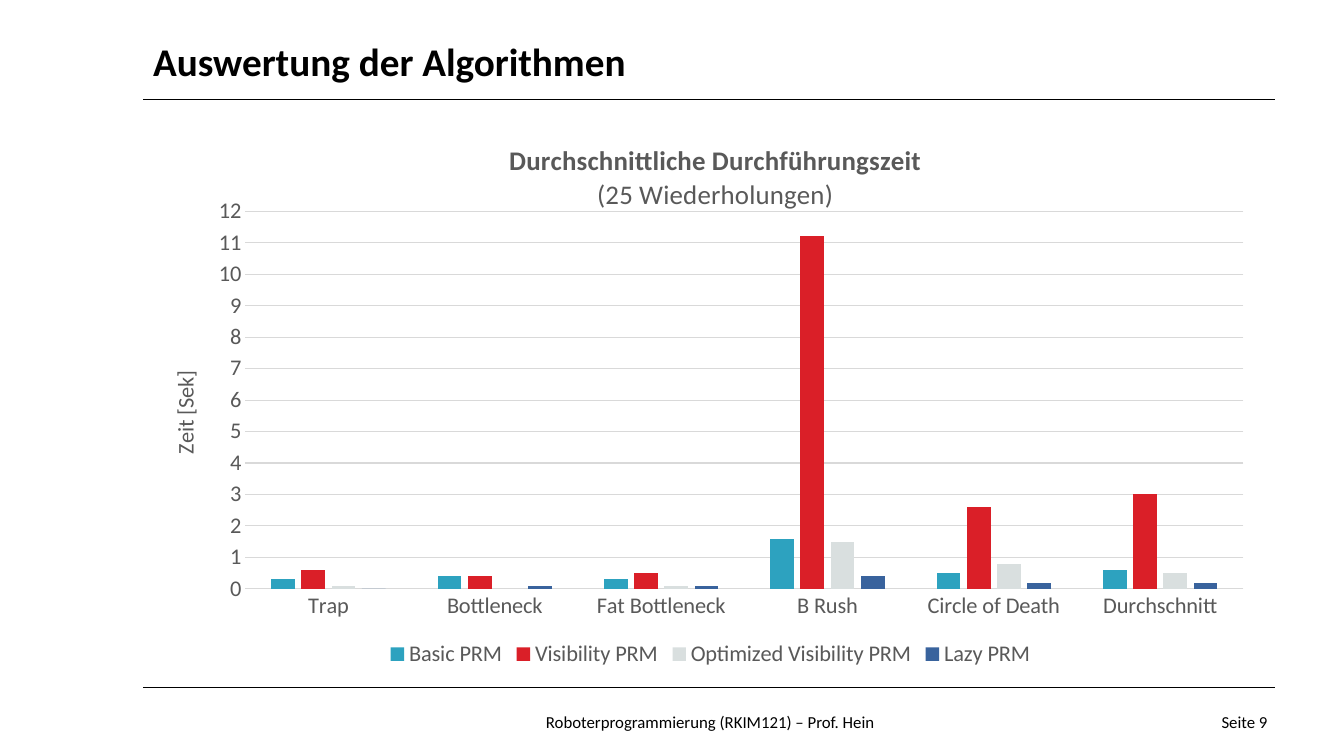
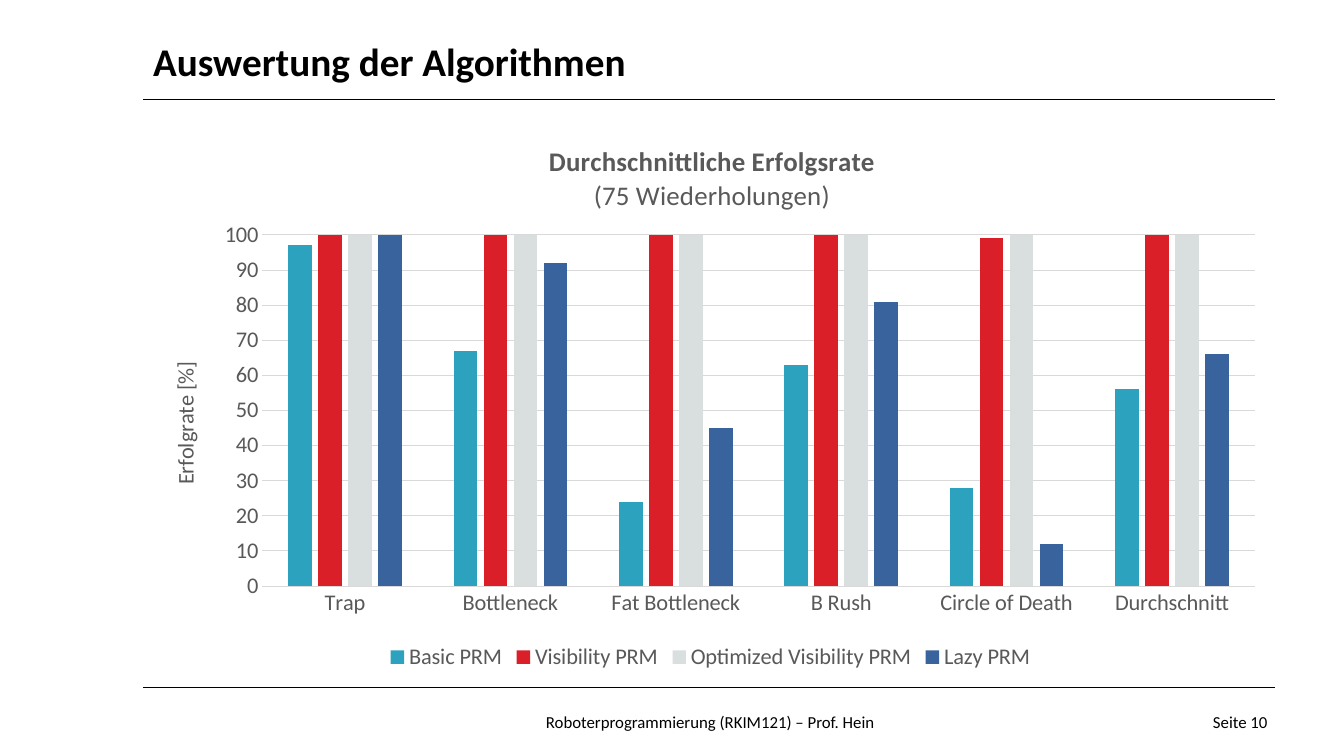
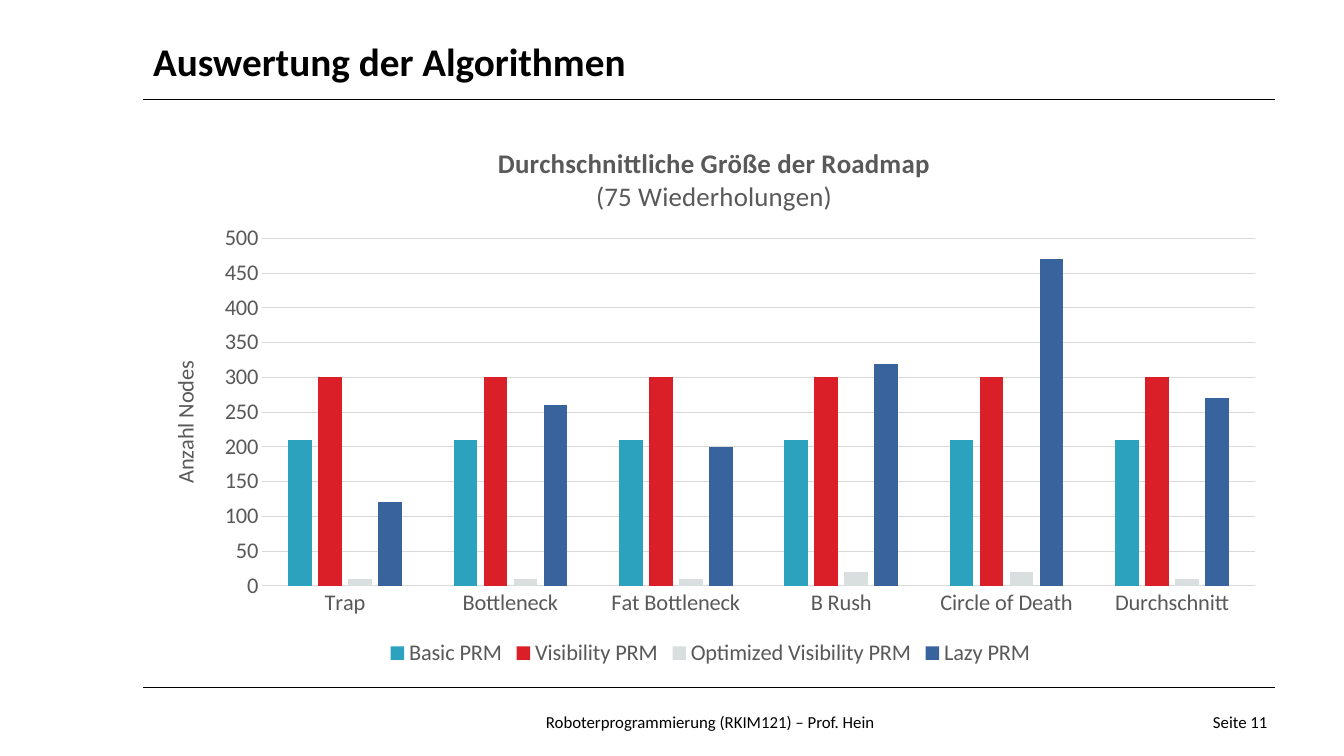
from lxml import etree
from pptx import Presentation
from pptx.chart.data import CategoryChartData
from pptx.dml.color import RGBColor
from pptx.enum.chart import XL_CHART_TYPE, XL_LEGEND_POSITION, XL_TICK_MARK
from pptx.enum.shapes import MSO_CONNECTOR
from pptx.enum.text import MSO_ANCHOR, PP_ALIGN
from pptx.oxml.ns import qn
from pptx.util import Inches, Pt

COLUMN = XL_CHART_TYPE.COLUMN_CLUSTERED
BOTTOM = XL_LEGEND_POSITION.BOTTOM
NONE = XL_TICK_MARK.NONE
STRAIGHT = MSO_CONNECTOR.STRAIGHT
MIDDLE = MSO_ANCHOR.MIDDLE
LEFT, CENTER, RIGHT = PP_ALIGN.LEFT, PP_ALIGN.CENTER, PP_ALIGN.RIGHT

BLACK = RGBColor(0x00, 0x00, 0x00)
GRAY = RGBColor(0x59, 0x59, 0x59)
GRID = RGBColor(0xD9, 0xD9, 0xD9)
TEAL = RGBColor(0x2D, 0xA2, 0xBF)
RED = RGBColor(0xDA, 0x1F, 0x28)
PALE = RGBColor(0xD9, 0xDF, 0xDF)
BLUE = RGBColor(0x39, 0x63, 0x9D)

FONT = "Calibri"
EDGE, WIDTH = 1.42, 11.25
RULES = (0.99, 6.82)
FOOT, FOOT_H = 6.96, 0.4

MAPS = ("Trap", "Bottleneck", "Fat Bottleneck", "B Rush", "Circle of Death",
        "Durchschnitt")
PLANNERS = (("Basic PRM", TEAL), ("Visibility PRM", RED),
            ("Optimized Visibility PRM", PALE), ("Lazy PRM", BLUE))

# Boxes are in inches; spots and plots are shares of the chart's size.
CHARTS = (
    dict(box=(EDGE, 1.16, WIDTH, 5.51), head="Durchschnittliche Durchführungszeit",
         sub="(25 Wiederholungen)", unit="Zeit [Sek]", top=12, step=1,
         plot=(0.09, 0.17, 0.88, 0.68), head_at=(0.32, 0.04), unit_at=(0.02, 0.45),
         rows=((0.3, 0.4, 0.3, 1.6, 0.5, 0.6), (0.6, 0.4, 0.5, 11.2, 2.6, 3),
               (0.1, 0, 0.1, 1.5, 0.8, 0.5), (0, 0.1, 0.1, 0.4, 0.2, 0.2))),
    dict(box=(EDGE, 1.17, WIDTH, 5.53), head="Durchschnittliche Erfolgsrate",
         sub="(75 Wiederholungen)", unit="Erfolgrate [%]", top=100, step=10,
         plot=(0.105, 0.21, 0.875, 0.63), head_at=(0.355, 0.04), unit_at=(0.02, 0.43),
         rows=((97, 67, 24, 63, 28, 56), (100, 100, 100, 100, 99, 100),
               (100,) * 6, (100, 92, 45, 81, 12, 66))),
    dict(box=(EDGE, 1.19, WIDTH, 5.47), head="Durchschnittliche Größe der Roadmap",
         sub="(75 Wiederholungen)", unit="Anzahl Nodes", top=500, step=50,
         plot=(0.105, 0.215, 0.875, 0.63), head_at=(0.31, 0.04), unit_at=(0.02, 0.43),
         rows=((210,) * 6, (300,) * 6, (10, 10, 10, 20, 20, 10),
               (120, 260, 200, 320, 470, 270))),
)


def style(font, size, color, bold=False):
    font.name, font.size, font.bold = FONT, Pt(size), bold
    font.color.rgb = color


def add_run(para, text, size, color, bold=False):
    run = para.add_run()
    run.text = text
    style(run.font, size, color, bold)


def add_text(slide, box, text, size, align=LEFT, bold=False):
    frame = slide.shapes.add_textbox(*map(Inches, box)).text_frame
    frame.word_wrap = True
    frame.vertical_anchor = MIDDLE
    frame.paragraphs[0].alignment = align
    add_run(frame.paragraphs[0], text, size, BLACK, bold)


def add_rule(slide, y):
    right = EDGE + WIDTH - 0.02
    rule = slide.shapes.add_connector(
        STRAIGHT, Inches(EDGE), Inches(y), Inches(right), Inches(y))
    rule.line.color.rgb = BLACK
    rule.line.width = Pt(0.75)
    etree.SubElement(rule.element.spPr, qn("a:effectLst"))


def add_frame(slide, page):
    """Place the title, both rules and the footer."""
    for y in RULES:
        add_rule(slide, y)
    add_text(slide, (EDGE, 0.3, WIDTH, 0.61), "Auswertung der Algorithmen", 28, bold=True)
    add_text(slide, (3.47, FOOT, 7.15, FOOT_H),
             "Roboterprogrammierung (RKIM121) – Prof. Hein", 12, CENTER)
    add_text(slide, (11.5, FOOT, 1.17, FOOT_H), f"Seite {page}", 12, RIGHT)


def lay_out(node, spot, inner=False):
    """Fix a chart part at a spot given as x, y and, if wanted, w, h."""
    for old in node.findall(qn("c:layout")):
        node.remove(old)
    layout = etree.Element(qn("c:layout"))
    manual = etree.SubElement(layout, qn("c:manualLayout"))
    pairs = [("layoutTarget", "inner")] if inner else []
    pairs += [("xMode", "edge"), ("yMode", "edge"), *zip("xywh", spot)]
    for tag, val in pairs:
        etree.SubElement(manual, qn(f"c:{tag}")).set("val", str(val))
    node.insert(0 if node.find(qn("c:tx")) is None else 1, layout)


def set_titles(chart, item):
    frame = chart.chart_title.text_frame
    add_run(frame.paragraphs[0], item["head"], 19.2, GRAY, True)
    add_run(frame.add_paragraph(), item["sub"], 19.2, GRAY)
    chart.chart_title.include_in_layout = False
    lay_out(chart.chart_title._element, item["head_at"])

    unit = chart.value_axis.axis_title
    add_run(unit.text_frame.paragraphs[0], item["unit"], 16, GRAY)
    body = unit._element.find(".//" + qn("a:bodyPr"))
    body.set("rot", "-5400000")
    body.set("vert", "horz")
    lay_out(unit._element, item["unit_at"])


def set_axes(chart, top, step):
    cats, vals = chart.category_axis, chart.value_axis
    for axis in (cats, vals):
        axis.major_tick_mark = axis.minor_tick_mark = NONE
        style(axis.tick_labels.font, 16, GRAY)
    vals.minimum_scale, vals.maximum_scale, vals.major_unit = 0, top, step
    vals.has_major_gridlines = True
    vals.format.line.fill.background()
    for line in (cats.format.line, vals.major_gridlines.format.line):
        line.color.rgb = GRID
        line.width = Pt(0.75)


def add_bars(slide, item):
    data = CategoryChartData()
    data.categories = MAPS
    for (name, _), row in zip(PLANNERS, item["rows"]):
        data.add_series(name, row)
    chart = slide.shapes.add_chart(COLUMN, *map(Inches, item["box"]), data).chart
    style(chart.font, 16, BLACK)
    set_titles(chart, item)
    set_axes(chart, item["top"], item["step"])
    chart.has_legend = True
    chart.legend.position = BOTTOM
    chart.legend.include_in_layout = False
    style(chart.legend.font, 16, GRAY)
    plot = chart.plots[0]
    plot.gap_width, plot.overlap = 219, -27
    plot.vary_by_categories = False
    for bars, (_, color) in zip(plot.series, PLANNERS):
        bars.format.fill.solid()
        bars.format.fill.fore_color.rgb = color
        bars.invert_if_negative = False
    area = chart.element.find(".//" + qn("c:plotArea"))
    lay_out(area, item["plot"], inner=True)


def main():
    deck = Presentation()
    deck.slide_width, deck.slide_height = Inches(13.33), Inches(7.5)
    for page, item in enumerate(CHARTS, 9):
        slide = deck.slides.add_slide(deck.slide_layouts[6])
        add_frame(slide, page)
        add_bars(slide, item)
    deck.save("out.pptx")


if __name__ == "__main__":
    main()
